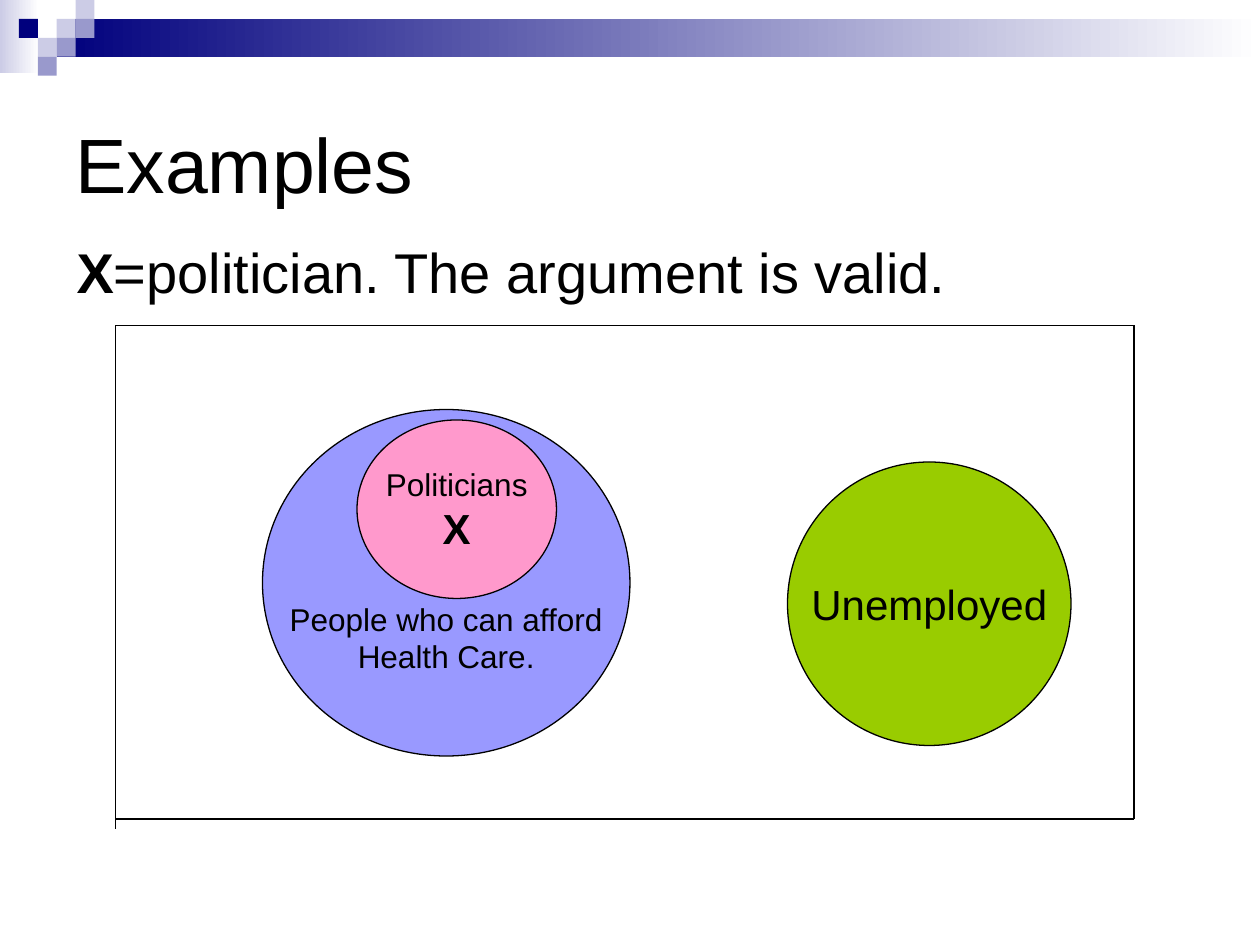
from lxml import etree
from pptx import Presentation
from pptx.dml.color import RGBColor
from pptx.enum import shapes, text
from pptx.oxml import ns
from pptx.util import Pt

COLORS = {"ink": "000000", "paper": "FFFFFF", "navy": "00007D", "mist": "CCCCE6",
          "slate": "9999CC", "lilac": "9999FF", "pink": "FF99CC", "green": "99CC00"}


class VennSlide:
    """Style and current slide, with one method per kind of element."""

    def __init__(self, slide, font="Arial", stroke=0.75):
        self.slide, self.font, self.stroke = slide, font, stroke

    def color(self, name):
        return RGBColor.from_string(COLORS[name])

    def shape(self, preset, box):
        item = self.slide.shapes.add_shape(preset, *map(Pt, box))
        item.shadow.inherit = False
        return item

    def square(self, box, fill):
        square = self.shape(shapes.MSO_SHAPE.RECTANGLE, box)
        square.fill.solid()
        square.fill.fore_color.rgb = self.color(fill)
        square.line.fill.background()

    def fade(self, box, start):
        band = self.shape(shapes.MSO_SHAPE.RECTANGLE, box)
        band.fill.gradient()
        band.fill.gradient_angle = 0
        for stop, name in zip(band.fill.gradient_stops, (start, "paper")):
            stop.color.rgb = self.color(name)
        band.line.fill.background()

    def set_text(self, frame, lines, align, anchor, top):
        frame.vertical_anchor = anchor
        frame.margin_left = frame.margin_right = Pt(7.2)
        frame.margin_top, frame.margin_bottom = Pt(top), Pt(3.6)
        for index, line in enumerate(lines):
            paragraph = frame.paragraphs[0] if index == 0 else frame.add_paragraph()
            paragraph.alignment = align
            for wording, size, bold in line:
                run = paragraph.add_run()
                run.text = wording
                run.font.name, run.font.size, run.font.bold = self.font, Pt(size), bold
                run.font.color.rgb = self.color("ink")

    def label(self, box, line, anchor, top):
        frame = self.slide.shapes.add_textbox(*map(Pt, box)).text_frame
        frame.word_wrap = True
        self.set_text(frame, [line], text.PP_ALIGN.LEFT, anchor, top)

    def circle(self, box, fill, lines, top=3.6):
        circle = self.shape(shapes.MSO_SHAPE.OVAL, box)
        circle.fill.solid()
        circle.fill.fore_color.rgb = self.color(fill)
        circle.line.color.rgb = self.color("ink")
        circle.line.width = Pt(self.stroke)
        circle.text_frame.word_wrap = False
        self.set_text(circle.text_frame, lines, text.PP_ALIGN.CENTER,
                      text.MSO_ANCHOR.MIDDLE, top)

    def line(self, start, end):
        edge = self.slide.shapes.add_connector(
            shapes.MSO_CONNECTOR.STRAIGHT, *map(Pt, start + end))
        edge.line.color.rgb = self.color("ink")
        edge.line.width = Pt(self.stroke)
        etree.SubElement(edge._element.spPr, ns.qn("a:effectLst"))


def main():
    deck = Presentation()
    deck.slide_width, deck.slide_height = Pt(720), Pt(540)
    venn = VennSlide(deck.slides.add_slide(deck.slide_layouts[6]))

    venn.fade((0, 0, 22.3, 41.8), "mist")
    venn.fade((32.4, 10.8, 687.6, 21.6), "navy")
    cell = 10.8
    for column, row, fill in [(3, 1, "mist"), (4, 0, "mist"), (4, 1, "slate"),
                              (2, 2, "mist"), (1, 1, "navy"), (3, 2, "slate"),
                              (2, 3, "slate")]:
        venn.square((column * cell, row * cell, cell, cell), fill)

    venn.label((36, 36, 648, 108), [("Examples", 44, False)],
               text.MSO_ANCHOR.MIDDLE, 9.6)
    venn.label((36.7, 128, 648, 306),
               [("X", 32, True), ("=politician. The argument is valid.", 32, False)],
               text.MSO_ANCHOR.TOP, 7.6)

    venn.circle((150, 234, 210, 198), "lilac",
                [[("People who can afford", 18, False)],
                 [("Health Care.", 18, False)]], top=66)
    venn.circle((204, 240, 114, 102), "pink",
                [[("Politicians", 18, False)], [("X", 24, True)]])
    venn.circle((450, 264, 162, 162), "green", [[("Unemployed", 24, False)]])

    left, top, right, bottom = 66, 186, 648, 468
    venn.line((left, top), (left, bottom + 6))
    venn.line((left, top), (right, top))
    venn.line((right, top), (right, bottom))
    venn.line((right, bottom), (left, bottom))

    deck.save("out.pptx")


if __name__ == "__main__":
    main()
